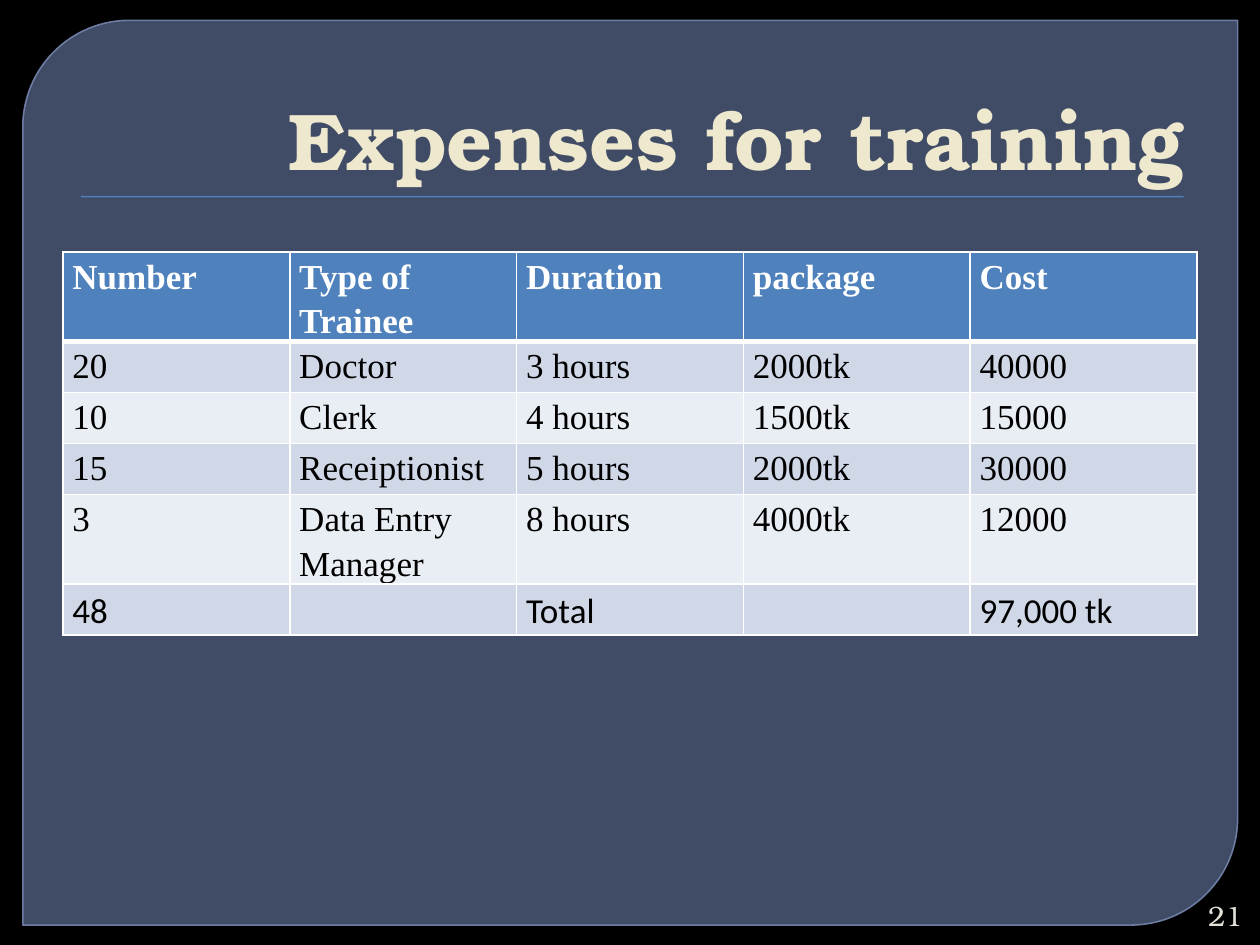
from lxml.etree import SubElement
from pptx import Presentation
from pptx.dml.color import RGBColor
from pptx.enum.shapes import MSO_SHAPE
from pptx.enum.text import MSO_ANCHOR, MSO_AUTO_SIZE, PP_ALIGN
from pptx.oxml import parse_xml
from pptx.oxml.ns import nsdecls, qn
from pptx.util import Cm, Pt

BLACK = RGBColor(0x00, 0x00, 0x00)
WHITE = RGBColor(0xFF, 0xFF, 0xFF)
PANEL = RGBColor(0x63, 0x75, 0x9D)
PANEL_LINE = RGBColor(0x79, 0x89, 0xB3)
BLUE = RGBColor(0x4F, 0x81, 0xBD)
CREAM = RGBColor(0xED, 0xE8, 0xCE)
GREY = RGBColor(0xE3, 0xE1, 0xD7)
BAND_DARK = RGBColor(0xD0, 0xD8, 0xE8)
BAND_LIGHT = RGBColor(0xE9, 0xED, 0xF4)

ROWS = [
    ["Number", "Type of Trainee", "Duration", "package", "Cost"],
    ["20", "Doctor", "3 hours", "2000tk", "40000"],
    ["10", "Clerk", "4 hours", "1500tk", "15000"],
    ["15", "Receiptionist", "5 hours", "2000tk", "30000"],
    ["3", "Data Entry Manager", "8 hours", "4000tk", "12000"],
    ["48", "", "Total", "", "97,000 tk"],
]
HEIGHTS = [1.8, 1.03, 1.03, 1.03, 1.8, 1.03]


def style_text(p, font, size, color, bold=False):
    for r in p.runs:
        r.font.name = font
        r.font.size = Pt(size)
        r.font.color.rgb = color
        r.font.bold = bold


def set_borders(cell, bottom):
    tcPr = cell._tc.get_or_add_tcPr()
    for i, (side, width) in enumerate([("L", 1), ("R", 1), ("T", 1), ("B", bottom)]):
        tcPr.insert(i, parse_xml(
            f'<a:ln{side} {nsdecls("a")} w="{Pt(width)}"><a:solidFill>'
            f'<a:srgbClr val="{WHITE}"/></a:solidFill></a:ln{side}>'))


prs = Presentation()
prs.slide_width = Cm(25.4)
prs.slide_height = Cm(19.05)
s = prs.slides.add_slide(prs.slide_layouts[5])
s.background.fill.solid()
s.background.fill.fore_color.rgb = BLACK

panel = s.shapes.add_shape(MSO_SHAPE.ROUND_2_DIAG_RECTANGLE,
                           Cm(0.46), Cm(0.41), Cm(24.49), Cm(18.24))
panel.shadow.inherit = False
panel.adjustments[0] = 0.118
panel.adjustments[1] = 0
panel.fill.solid()
panel.fill.fore_color.rgb = PANEL
panel.line.color.rgb = PANEL_LINE
panel.line.width = Pt(0.87)
for clr, alpha in zip(panel._element.spPr.iter(qn("a:srgbClr")), [65, 88]):
    SubElement(clr, qn("a:alpha"), val=str(alpha * 1000))

rule = s.shapes.add_shape(MSO_SHAPE.RECTANGLE, Cm(1.63), Cm(3.95), Cm(22.23), Cm(0.03))
rule.shadow.inherit = False
rule.fill.solid()
rule.fill.fore_color.rgb = BLUE
rule.line.fill.background()

title = s.shapes.title
s.shapes._spTree.append(title._element)
title.left, title.top, title.width, title.height = Cm(1.27), Cm(0.71), Cm(22.86), Cm(3.18)
tf = title.text_frame
tf.text = "Expenses for training"
tf.word_wrap = True
tf.auto_size = MSO_AUTO_SIZE.NONE
tf.vertical_anchor = MSO_ANCHOR.BOTTOM
p = tf.paragraphs[0]
p.alignment = PP_ALIGN.RIGHT
style_text(p, "TeX Gyre Bonum", 46, CREAM, True)

table = s.shapes.add_table(len(ROWS), len(ROWS[0]), Cm(1.27), Cm(5.08),
                           Cm(22.86), Cm(sum(HEIGHTS))).table
for i, texts in enumerate(ROWS):
    header = i == 0
    table.rows[i].height = Cm(HEIGHTS[i])
    for j, text in enumerate(texts):
        cell = table.cell(i, j)
        cell.margin_left = cell.margin_right = Cm(0.19)
        cell.margin_top = cell.margin_bottom = 0
        cell.fill.solid()
        cell.fill.fore_color.rgb = BLUE if header else BAND_DARK if i % 2 else BAND_LIGHT
        set_borders(cell, 3 if header else 1)
        p = cell.text_frame.paragraphs[0]
        p.text = text
        p.line_spacing = 1.15
        style_text(p, "Calibri" if i == len(ROWS) - 1 else "Times New Roman", 20,
                   WHITE if header else BLACK, header)

number = s.shapes.add_textbox(Cm(24), Cm(18.08), Cm(1.3), Cm(0.76))
tf = number.text_frame
tf.text = "21"
tf.word_wrap = True
tf.vertical_anchor = MSO_ANCHOR.MIDDLE
p = tf.paragraphs[0]
p.alignment = PP_ALIGN.RIGHT
style_text(p, "TeX Gyre Bonum", 16, GREY)

prs.save("out.pptx")
